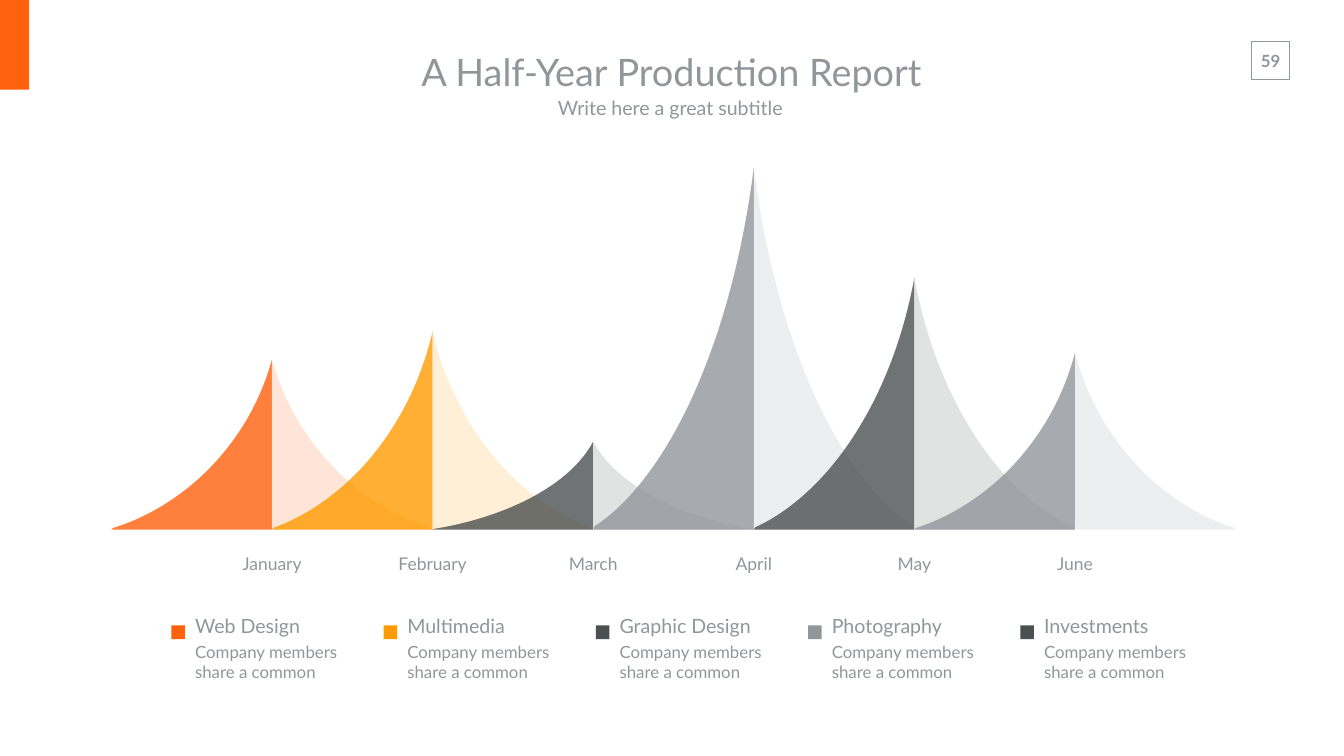
from dataclasses import dataclass
from typing import NamedTuple

from lxml import etree
from pptx import Presentation
from pptx import util as u
from pptx.dml.color import RGBColor
from pptx.enum import shapes, text
from pptx.oxml import ns


@dataclass(frozen=True)
class Theme:
    font: str = "Lato"
    orange: str = "FF610C"
    amber: str = "FF9B00"
    slate: str = "4B5050"
    grey: str = "91969B"
    pale_orange: str = "FFDFCE"
    pale_amber: str = "FFEBCC"
    pale_slate: str = "DADDDD"
    pale_grey: str = "E9EAEB"
    title_size: int = 54
    heading_size: int = 28
    month_size: int = 25
    small_size: int = 24
    opacity: int = 80


class Box(NamedTuple):
    left: float
    top: float
    width: float
    height: float


class Line(NamedTuple):
    words: str
    size: int
    space_before: int = 0
    bold: bool = False


class Peak(NamedTuple):
    month: str
    height: float
    dark: str
    pale: str


class Service(NamedTuple):
    name: str
    color: str


@dataclass(frozen=True)
class Columns:
    """Equal columns, counted from zero at the left edge."""
    left: float
    pitch: float

    def at(self, column: float) -> float:
        return self.left + column * self.pitch


THEME = Theme()
WIDTH, HEIGHT = 26.66, 15
MONTHS = Columns(left=2.21, pitch=(24.51 - 2.21) / 7)
SERVICES = Columns(left=3.4, pitch=4.21)
BASELINE = 10.51
MONTH_LABEL = Box(0, 10.78, 1.86, 0.82)
PADDING = (0.27, 0.13)

# A slope as shares of its box: apex, two Bézier arcs of three points, foot, corner
APEX = (0, 0)
ARCS = ((0.07, 0.24), (0.2, 0.46), (0.4, 0.65), (0.57, 0.81), (0.78, 0.93), (0.99, 0.99))
FOOT = ((1, 1), (0, 1), APEX)

PEAKS = (
    Peak("January", 3.38, THEME.orange, THEME.pale_orange),
    Peak("February", 3.93, THEME.amber, THEME.pale_amber),
    Peak("March", 1.75, THEME.slate, THEME.pale_slate),
    Peak("April", 7.18, THEME.grey, THEME.pale_grey),
    Peak("May", 5, THEME.slate, THEME.pale_slate),
    Peak("June", 3.51, THEME.grey, THEME.pale_grey),
)
LEGEND = (
    Service("Web Design", THEME.orange),
    Service("Multimedia", THEME.amber),
    Service("Graphic Design", THEME.slate),
    Service("Photography", THEME.grey),
    Service("Investments", THEME.slate),
)


def emu(box: Box) -> tuple:
    return tuple(u.Inches(length) for length in box)


def write(holder, lines: list, align=text.PP_ALIGN.CENTER,
          anchor=text.MSO_ANCHOR.MIDDLE, padding=(0, 0), wrap=True) -> None:
    frame = holder.text_frame
    across, down = (u.Inches(side) for side in padding)
    frame_format = {
        "word_wrap": wrap, "auto_size": text.MSO_AUTO_SIZE.NONE,
        "vertical_anchor": anchor, "margin_left": across,
        "margin_right": across, "margin_top": down, "margin_bottom": down,
    }
    for name, value in frame_format.items():
        setattr(frame, name, value)
    for number, line in enumerate(lines):
        paragraph = frame.add_paragraph() if number else frame.paragraphs[0]
        paragraph.alignment = align
        paragraph.space_before = u.Pt(line.space_before)
        run = paragraph.add_run()
        run.text = line.words
        font_format = {"name": THEME.font, "size": u.Pt(line.size), "bold": line.bold}
        for name, value in font_format.items():
            setattr(run.font, name, value)
        run.font.color.rgb = RGBColor.from_string(THEME.grey)


def fill_placeholder(holder, box: Box, line: Line) -> None:
    for name, value in zip(Box._fields, emu(box)):
        setattr(holder, name, value)
    write(holder, [line], padding=PADDING)


def paint(shape, color: str) -> None:
    shape.shadow.inherit = False
    shape.fill.solid()
    shape.fill.fore_color.rgb = RGBColor.from_string(color)
    shape.line.fill.background()


def add_block(slide, box: Box, color: str) -> None:
    paint(slide.shapes.add_shape(shapes.MSO_SHAPE.RECTANGLE, *emu(box)), color)


def add_page_number(slide, number: str) -> None:
    label = slide.shapes.add_textbox(*emu(Box(24.8, 0.9, 0.81, 0.61)))
    write(label, [Line(number, THEME.small_size, bold=True)],
          anchor=text.MSO_ANCHOR.TOP, padding=(0.2, 0.1), wrap=False)
    frame = slide.shapes.add_shape(shapes.MSO_SHAPE.RECTANGLE,
                                   *emu(Box(24.83, 0.82, 0.75, 0.75)))
    frame.shadow.inherit = False
    frame.fill.background()
    frame.line.color.rgb = RGBColor.from_string(THEME.grey)
    frame.line.width = u.Pt(1)


def bend(shape) -> None:
    """Turn the segments that hold the arcs' points into cubic curves."""
    segments = list(shape.element.iter(ns.qn("a:lnTo")))[:len(ARCS)]
    for first in range(0, len(segments), 3):
        curve = etree.Element(ns.qn("a:cubicBezTo"))
        segments[first].addprevious(curve)
        for segment in segments[first:first + 3]:
            curve.append(segment[0])
            segment.getparent().remove(segment)


def add_slope(chart, center: float, height: float, side: int, color: str) -> None:
    """Draw half a peak, to the left (side -1) or right (side 1) of its center."""
    def place(across: float, down: float) -> tuple:
        return (u.Inches(center + side * across * MONTHS.pitch),
                u.Inches(BASELINE - height * (1 - down)))

    outline = chart.shapes.build_freeform(*place(*APEX))
    outline.add_line_segments([place(*point) for point in ARCS + FOOT], close=True)
    slope = outline.convert_to_shape()
    bend(slope)
    paint(slope, color)
    tint = slope.element.spPr.find(ns.qn("a:solidFill"))[0]
    etree.SubElement(tint, ns.qn("a:alpha"), val=str(THEME.opacity * 1000))


def add_peak(chart, column: int, peak: Peak) -> None:
    center = MONTHS.at(column)
    add_slope(chart, center, peak.height, -1, peak.dark)
    add_slope(chart, center, peak.height, 1, peak.pale)
    label = MONTH_LABEL._replace(left=center - MONTH_LABEL.width / 2)
    write(chart.shapes.add_textbox(*emu(label)), [Line(peak.month, THEME.month_size)])


def add_service(slide, column: int, service: Service) -> None:
    left = SERVICES.at(column)
    add_block(slide, Box(left, 12.41, 0.27, 0.27), service.color)
    caption = slide.shapes.add_textbox(*emu(Box(left + 0.2, 12.06, 3.92, 1.97)))
    write(caption,
          [Line(service.name, THEME.heading_size),
           Line("Company members share a common", THEME.small_size, space_before=5)],
          text.PP_ALIGN.LEFT, text.MSO_ANCHOR.TOP, PADDING)


def main() -> None:
    deck = Presentation()
    deck.slide_width, deck.slide_height = u.Inches(WIDTH), u.Inches(HEIGHT)
    slide = deck.slides.add_slide(deck.slide_layouts[0])
    title, subtitle = slide.placeholders
    fill_placeholder(title, Box(5.76, 0.83, 15.12, 1.18),
                     Line("A Half-Year Production Report", THEME.title_size))
    fill_placeholder(subtitle, Box(8.18, 1.76, 10.33, 0.74),
                     Line("Write here a great subtitle ", THEME.heading_size))
    add_page_number(slide, "59")
    add_block(slide, Box(0, 0, 0.58, 1.78), THEME.orange)
    chart = slide.shapes.add_group_shape()
    for column, peak in enumerate(PEAKS, start=1):
        add_peak(chart, column, peak)
    for column, service in enumerate(LEGEND):
        add_service(slide, column, service)
    deck.save("out.pptx")


if __name__ == "__main__":
    main()
